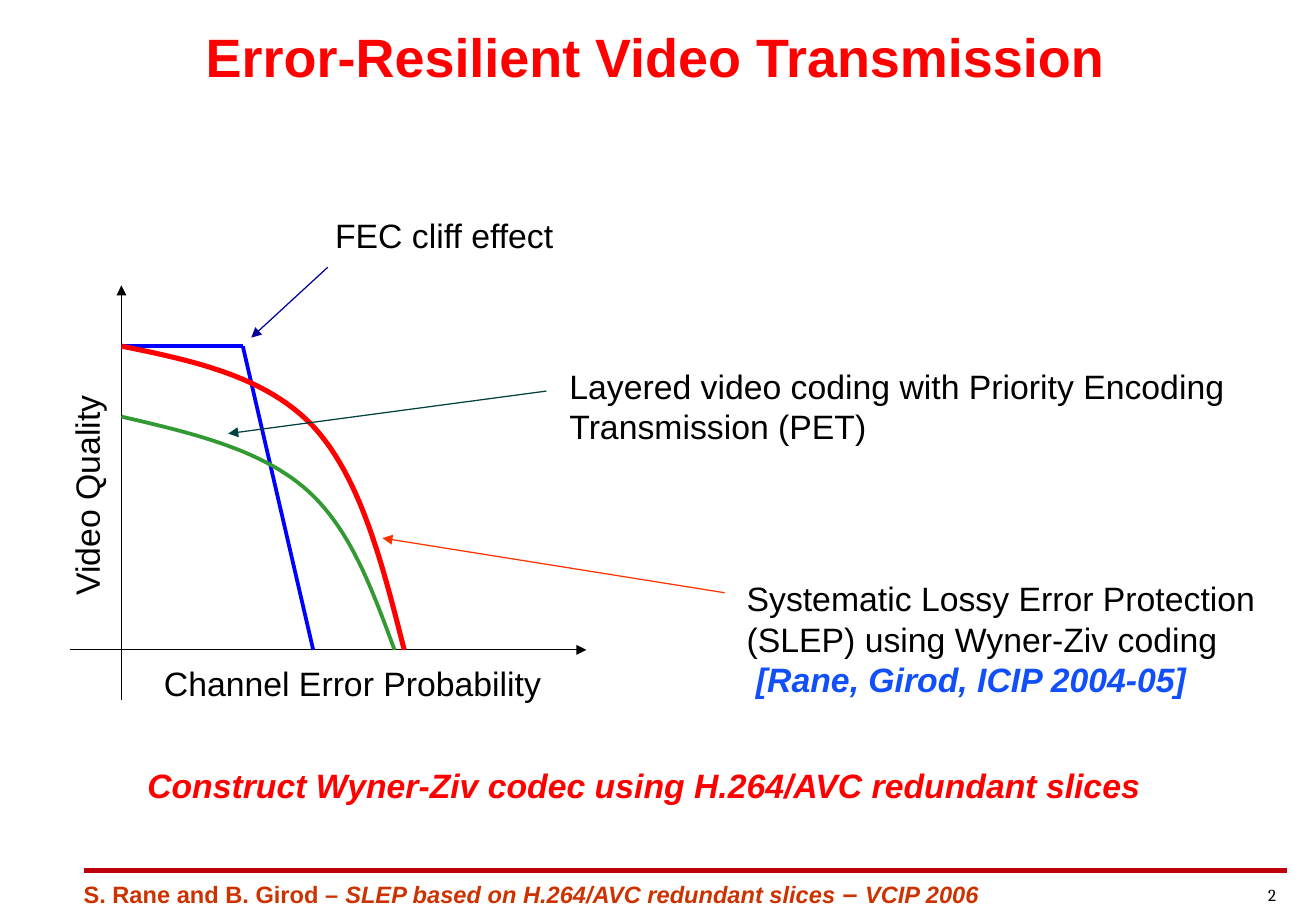
import pptx
import pptx.util
import pptx.dml.color
import pptx.enum.shapes
import pptx.enum.text
import pptx.oxml
import pptx.oxml.ns

# Content: places are (column, row) on a grid of tenth-inch cells
COLUMNS, ROWS = 108.4, 75

THEME = {
    "font": "Arial", "number font": "Cambria",
    "title": 32, "label": 20, "footer": 14, "dash": 16, "number": 10,
    "thin": 0.75, "medium": 2.25, "thick": 3,
    "black": "000000", "red": "FF0000", "blue": "0000FF", "green": "339933",
    "rule": "BE020B", "credit": "CC3300", "citation": "114FFB",
    "navy": "020296", "teal": "004240", "orange": "FF3300",
}

# A run is (text, size, colour, style), where style holds b and / or i
TITLE = ((16.8, 1.4, 74.4, 6.4),
         [[("Error-Resilient Video Transmission", "title", "red", "b")]])


def label(text):
    return [(text, "label", "black", "")]


# Text: box, paragraphs, alignment, side inset, rotation
FOOTER = [
    ((5.9, 71.7, 83, 3.6), [[
        ("S. Rane and B. Girod – ", "footer", "credit", "b"),
        ("SLEP based on H.264/AVC redundant slices ", "footer", "credit", "bi"),
        ("– ", "dash", "credit", "b"),
        ("VCIP 2006", "footer", "credit", "bi")]], "LEFT", 1, 0),
    ((102.2, 72.3, 3.9, 2.9), [[("2", "number", "black", "")]], "RIGHT", 1, 0),
]
LABELS = [
    ((12.5, 54.1, 33.1, 4.4), [label("Channel Error Probability")], "CENTER", 1, 0),
    ((-2.1, 38.6, 18.5, 4.4), [label("Video Quality")], "CENTER", 1, 270),
    ((27.6, 17.2, 18.1, 4.4), [label("FEC cliff effect")], "LEFT", 0, 0),
    ((46.9, 29.6, 54.8, 7.7),
     [label("Layered video coding with Priority Encoding"),
      label("Transmission (PET)")], "LEFT", 0, 0),
    ((61.5, 47.1, 41.9, 11),
     [label("Systematic Lossy Error Protection"),
      label("(SLEP) using Wyner-Ziv coding"),
      label(" ") + [("[Rane, Girod, ICIP 2004-05]", "label", "citation", "bi")]],
     "LEFT", 0, 0),
    ((12, 62.5, 82.9, 4.4),
     [[("Construct Wyner-Ziv codec using H.264/AVC redundant slices ",
        "label", "red", "bi")]], "CENTER", 0, 0),
]

# Lines: start, end, colour, weight, arrowhead at the end
ORIGIN, CLIFF = (10, 53.5), (20, 28.5)
FOOTER_RULE = ((6.9, 71.7), (106, 71.7), "rule", "thick", False)
AXES_AND_CLIFF = [
    ((ORIGIN[0], 57.6), (ORIGIN[0], 23.5), "black", "thin", True),
    ((5.8, ORIGIN[1]), (48.3, ORIGIN[1]), "black", "thin", True),
    ((ORIGIN[0], CLIFF[1]), CLIFF, "blue", "medium", False),
    (CLIFF, (25.8, ORIGIN[1]), "blue", "medium", False),
]
POINTERS = [
    ((45, 32.2), (18.8, 35.7), "teal", "thin", True),
    ((27, 22), (20.7, 27.8), "navy", "thin", True),
    ((59.7, 48.8), (31.5, 44.3), "orange", "thin", True),
]

# Curves: Bezier knots and handles, colour, weight
CURVES = [
    ([(10, 34.3), (15.6, 35.6), (21.2, 36.9), (25, 40.1),
      (28.8, 43.3), (30.6, 48.4), (32.5, 53.5)], "green", "medium"),
    ([(10, 28.5), (16, 29.7), (21.9, 31), (25.8, 35.1),
      (29.7, 39.3), (31.5, 46.4), (33.3, 53.5)], "red", "thick"),
]
CURVE_STEPS = 24

# Slide
deck = pptx.Presentation()
deck.slide_width = pptx.util.Inches(10.84)
deck.slide_height = pptx.util.Inches(7.5)
CELL_WIDTH, CELL_HEIGHT = deck.slide_width / COLUMNS, deck.slide_height / ROWS
slide = deck.slides.add_slide(deck.slide_layouts[5])


def place(column, row):
    return round(column * CELL_WIDTH), round(row * CELL_HEIGHT)


def rgb(colour):
    return pptx.dml.color.RGBColor.from_string(THEME[colour])


def write(shape, paragraphs, align, inset, wrap):
    frame = shape.text_frame
    frame.word_wrap = wrap
    frame.auto_size = pptx.enum.text.MSO_AUTO_SIZE.NONE
    frame.vertical_anchor = pptx.enum.text.MSO_ANCHOR.TOP
    frame.margin_left = frame.margin_right = place(inset, 0)[0]
    frame.margin_top = frame.margin_bottom = place(0, 0.5)[1]
    for index, runs in enumerate(paragraphs):
        paragraph = frame.add_paragraph() if index else frame.paragraphs[0]
        paragraph.alignment = getattr(pptx.enum.text.PP_ALIGN, align)
        for text, size, colour, style in runs:
            run = paragraph.add_run()
            run.text = text
            run.font.name = THEME["number font" if size == "number" else "font"]
            run.font.size = pptx.util.Pt(THEME[size])
            run.font.color.rgb = rgb(colour)
            run.font.bold, run.font.italic = "b" in style, "i" in style


def add_text(box, paragraphs, align, inset, rotation, wrap=False):
    text_box = slide.shapes.add_textbox(*place(*box[:2]), *place(*box[2:]))
    text_box.rotation = rotation
    write(text_box, paragraphs, align, inset, wrap)


def add_line(start, end, colour, weight, arrow):
    line = slide.shapes.add_connector(
        pptx.enum.shapes.MSO_CONNECTOR.STRAIGHT, *place(*start), *place(*end))
    line.line.color.rgb = rgb(colour)
    line.line.width = pptx.util.Pt(THEME[weight])
    properties = line.line._get_or_add_ln()
    if arrow:
        properties.append(pptx.oxml.parse_xml(
            f'<a:tailEnd {pptx.oxml.ns.nsdecls("a")} type="triangle"/>'))
    properties.getparent().append(pptx.oxml.parse_xml(
        f'<a:effectLst {pptx.oxml.ns.nsdecls("a")}/>'))


def bezier(knots, t):
    weights = ((1 - t) ** 3, 3 * t * (1 - t) ** 2, 3 * t ** 2 * (1 - t), t ** 3)
    return tuple(sum(w * knot[axis] for w, knot in zip(weights, knots))
                 for axis in (0, 1))


def add_curve(knots, colour, weight):
    points = [place(*bezier(knots[first:first + 4], step / CURVE_STEPS))
              for first in range(0, len(knots) - 1, 3)
              for step in range(1, CURVE_STEPS + 1)]
    builder = slide.shapes.build_freeform(*place(*knots[0]))
    builder.add_line_segments(points, close=False)
    curve = builder.convert_to_shape()
    curve.shadow.inherit = False
    curve.fill.background()
    curve.line.color.rgb = rgb(colour)
    curve.line.width = pptx.util.Pt(THEME[weight])


# Title
title_box, title_text = TITLE
title = slide.shapes.title
title.left, title.top = place(*title_box[:2])
title.width, title.height = place(*title_box[2:])
write(title, title_text, "CENTER", 0, False)

# Footer
for footer_text in FOOTER:
    add_text(*footer_text, wrap=True)
add_line(*FOOTER_RULE)

# Quality plot with its labels and pointers
for plot_line in AXES_AND_CLIFF:
    add_line(*plot_line)
for quality_curve in CURVES:
    add_curve(*quality_curve)
for pointer in POINTERS:
    add_line(*pointer)
for plot_label in LABELS:
    add_text(*plot_label)

deck.save("out.pptx")
